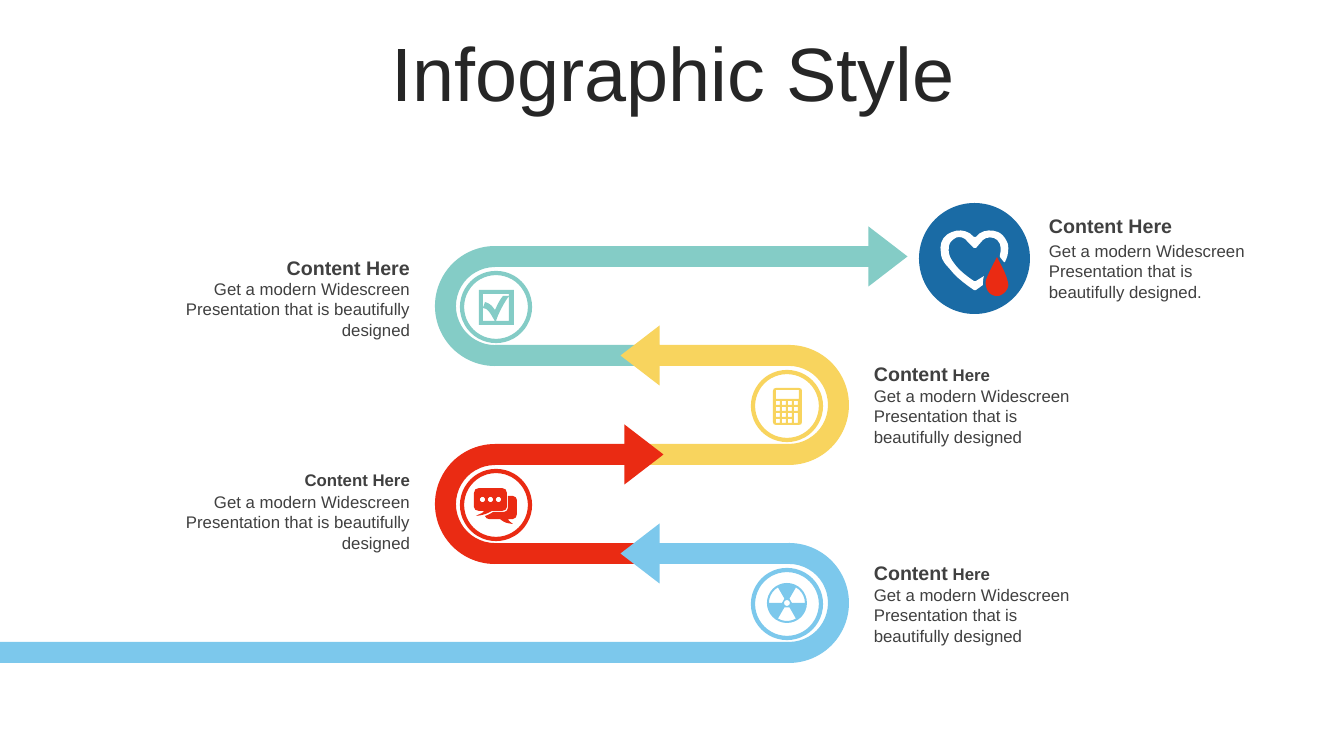
from math import cos, dist, pi, sin

from pptx import Presentation
from pptx.dml.color import RGBColor
from pptx.enum.shapes import MSO_SHAPE as Preset
from pptx.enum.text import MSO_ANCHOR as Anchor, MSO_AUTO_SIZE as AutoSize, PP_ALIGN as Align
from pptx.util import Pt

PX = 914400 / 100.8
TEAL = RGBColor(0x84, 0xCC, 0xC6)
YELLOW = RGBColor(0xF8, 0xD4, 0x5E)
RED = RGBColor(0xEA, 0x2B, 0x13)
SKY = RGBColor(0x7C, 0xC8, 0xEC)
BLUE = RGBColor(0x1A, 0x6B, 0xA5)
WHITE = RGBColor(0xFF, 0xFF, 0xFF)
INK = RGBColor(0x26, 0x26, 0x26)
GREY = RGBColor(0x40, 0x40, 0x40)

deck = Presentation()
deck.slide_width, deck.slide_height = round(1344 * PX), round(756 * PX)
page = deck.slides.add_slide(deck.slide_layouts[5])


def add_preset(preset, left, top, width, height, color):
    """Add a flat preset shape placed in px."""
    shape = page.shapes.add_shape(preset, *(round(n * PX) for n in (left, top, width, height)))
    shape.shadow.inherit = False
    shape.fill.solid()
    shape.fill.fore_color.rgb = color
    shape.line.fill.background()
    return shape


def add_outline(contours, color):
    """Add one freeform; a pair is a corner, six numbers are a Bezier curve."""
    builder = None
    for start, *steps in contours:
        points, (x, y) = [], start
        for step in steps:
            if len(step) == 6:
                ax, ay, bx, by, cx, cy = step
                pieces = 5 if dist((x, y), (cx, cy)) > 8 else 2
                for t in (n / pieces for n in range(1, pieces + 1)):
                    u = 1 - t
                    points.append((u**3 * x + 3 * u * u * t * ax + 3 * u * t * t * bx + t**3 * cx,
                                   u**3 * y + 3 * u * u * t * ay + 3 * u * t * t * by + t**3 * cy))
            else:
                points.append(step)
            x, y = step[-2:]
        fine = [(px * 100, py * 100) for px, py in [start, *points]]
        if builder is None:
            builder = page.shapes.build_freeform(*fine[0], scale=PX / 100)
        else:
            builder.move_to(*fine[0])
        builder.add_line_segments(fine[1:], close=True)
    shape = builder.convert_to_shape()
    shape.shadow.inherit = False
    shape.fill.solid()
    shape.fill.fore_color.rgb = color
    shape.line.fill.background()


# Title
title = page.shapes.title
title.left, title.top, title.width, title.height = (round(n * PX) for n in (35, 37, 1276, 80))
title.text_frame.vertical_anchor = Anchor.MIDDLE
para = title.text_frame.paragraphs[0]
para.alignment = Align.CENTER
para.line_spacing = 0.9
span = para.add_run()
span.text = "Infographic Style"
span.font.name, span.font.size, span.font.color.rgb = "Arial", Pt(54), INK

# Winding arrows: colour, side of the bend, far end of the lower strip, centre of the head
ARROWS = [(TEAL, -1, 660, 888), (YELLOW, 1, 624, 640), (RED, -1, 660, 644), (SKY, 1, 0, 640)]
RADIUS, BAND = 60, 21
for row, (color, side, tail_x, head_x) in enumerate(ARROWS):
    middle = 306 + 99 * row
    bend_x, ring_x, turn = (495, 496, 270) if side < 0 else (789, 787, 90)
    for end_x, top in ((tail_x, middle + RADIUS - BAND), (head_x, middle - RADIUS)):
        add_preset(Preset.RECTANGLE, min(end_x, bend_x), top, abs(end_x - bend_x), BAND, color)
    bend = add_preset(Preset.BLOCK_ARC, bend_x - RADIUS, middle - RADIUS, 2 * RADIUS, 2 * RADIUS, color)
    bend.adjustments[2] = BAND / (2 * RADIUS)
    bend.rotation = turn
    head = add_preset(Preset.ISOSCELES_TRIANGLE, head_x - 30, middle - 69, 60, 39, color)
    head.rotation = 360 - turn
    ring = add_preset(Preset.OVAL, ring_x - 34, middle - 33, 68, 68, color)
    ring.fill.background()
    ring.line.color.rgb = color
    ring.line.width = Pt(3)

# Check box icon
box_edges = [[(a, b), (c, b), (c, d), (a, d)]
             for a, b, c, d in ((479, 290, 514, 325), (483, 294, 509, 321))]
tick = [(495, 321), (492, 317, 489, 308, 483, 308), (485, 302), (491, 304, 492, 306, 495, 310),
        (498, 304, 499, 301, 503, 296), (509, 296), (504, 303, 499, 312, 496, 321)]
add_outline([*box_edges, tick], TEAL)

# Calculator icon: body, screen and a grid of keys with one tall key
body = [(776, 388), (799, 388), (801, 388, 802, 389, 802, 391), (802, 422),
        (802, 424, 801, 425, 799, 425), (776, 425), (774, 425, 773, 424, 773, 422),
        (773, 391), (773, 389, 774, 388, 776, 388)]
holes = [(776, 390, 23, 9)]
for column in range(4):
    for row in range(4):
        if (column, row) != (3, 3):
            holes.append((776 + 6 * column, 401 + 6 * row, 4, 10 if (column, row) == (3, 2) else 4))
add_outline([body] + [[(x, y), (x + w, y), (x + w, y + h), (x, y + h)] for x, y, w, h in holes],
            YELLOW)

# Chat icon
front_bubble = [(479, 488), (502, 488), (505, 488, 507, 490, 507, 493), (507, 507),
                (507, 509, 505, 511, 502, 511), (492, 511), (486, 514, 484, 515, 476, 516),
                (481, 513, 482, 514, 484, 511), (479, 511), (476, 511, 474, 509, 474, 507),
                (474, 493), (474, 490, 476, 488, 479, 488)]
back_bubble = [(508, 496), (513, 496), (515, 496, 517, 498, 517, 500), (517, 514),
               (517, 517, 515, 519, 513, 519), (508, 519), (509, 520, 508, 521, 513, 524),
               (505, 523, 504, 522, 500, 519), (489, 519), (487, 519, 486, 518, 485, 516),
               (488, 515, 490, 514, 493, 512), (504, 512), (506, 512, 508, 510, 508, 508)]
add_outline([front_bubble, back_bubble], RED)
for dot_x in (482, 490, 498):
    add_preset(Preset.OVAL, dot_x - 2, 497, 5, 5, WHITE)

# Radiation icon: disc, hub and three open sectors
sign_x, sign_y = 787, 603
sign = [[(sign_x + r * cos(2 * pi * n / count), sign_y + r * sin(2 * pi * n / count))
         for n in range(count)] for r, count in ((20, 32), (3, 10))]
for first in (60, 180, 300):
    sweep = [pi * (first + 12 * n) / 180 for n in range(6)]
    edge = [(18, a) for a in sweep] + [(5, a) for a in reversed(sweep[::5])]
    sign.append([(sign_x + r * cos(a), sign_y + r * sin(a)) for r, a in edge])
add_outline(sign, SKY)

# Goal: disc with heart and drop
add_preset(Preset.OVAL, 919, 203, 111, 111, BLUE)
drop = [(997, 257), (1001, 265, 1006, 273, 1008, 282), (1010, 288, 1005, 294, 999, 296),
        (993, 297, 987, 293, 986, 286), (985, 284, 986, 282, 986, 280), (989, 272, 993, 265, 997, 257)]
heart = [(984, 276), (983, 279, 983, 282, 983, 285), (976, 290), (974, 290),
         (965, 284, 956, 277, 949, 268), (944, 263, 941, 258, 941, 253),
         (939, 244, 943, 235, 952, 232), (959, 229, 968, 230, 974, 237), (976, 237),
         (981, 230, 991, 229, 998, 232), (1003, 234, 1006, 239, 1008, 244),
         (1009, 251, 1008, 256, 1005, 262), (1004, 262), (1000, 257),
         (1000, 255), (1001, 251, 1001, 248, 1000, 244), (997, 236, 987, 236, 983, 240),
         (976, 248), (974, 248), (968, 242), (964, 236, 957, 236, 954, 239),
         (951, 241, 949, 244, 949, 247), (948, 253, 950, 258, 954, 263),
         (958, 269, 964, 274, 971, 279), (974, 281), (976, 281), (984, 276)]
add_outline([drop], RED)
add_outline([heart], WHITE)

# Captions: left, width, heading top and height, text top, alignment, heading runs, closing mark
CAPTIONS = [
    (156, 264, 251, 34, 274, Align.RIGHT, [("Content Here", 14)], ""),
    (864, 230, 357, 34, 381, Align.LEFT, [("Content", 14), (" Here", 12)], ""),
    (864, 230, 556, 34, 580, Align.LEFT, [("Content", 14), (" Here", 12)], ""),
    (156, 264, 465, 30, 487, Align.RIGHT, [("Content Here", 12)], ""),
    (1039, 236, 209, 34, 236, Align.LEFT, [("Content Here", 14)], "."),
]
for left, width, head_top, head_height, text_top, align, heading, mark in CAPTIONS:
    text = [("Get a modern Widescreen Presentation that is beautifully designed" + mark, 12)]
    for top, height, anchor, runs, bold in (
            (head_top, head_height, Anchor.MIDDLE, heading, True),
            (text_top, 72, Anchor.TOP, text, False)):
        box = page.shapes.add_textbox(*(round(n * PX) for n in (left, top, width, height)))
        frame = box.text_frame
        frame.word_wrap = True
        frame.auto_size = AutoSize.SHAPE_TO_FIT_TEXT
        frame.vertical_anchor = anchor
        para = frame.paragraphs[0]
        para.alignment = align
        for words, size in runs:
            span = para.add_run()
            span.text = words
            span.font.name, span.font.size, span.font.bold = "Arial", Pt(size), bold
            span.font.color.rgb = GREY

deck.save("out.pptx")
